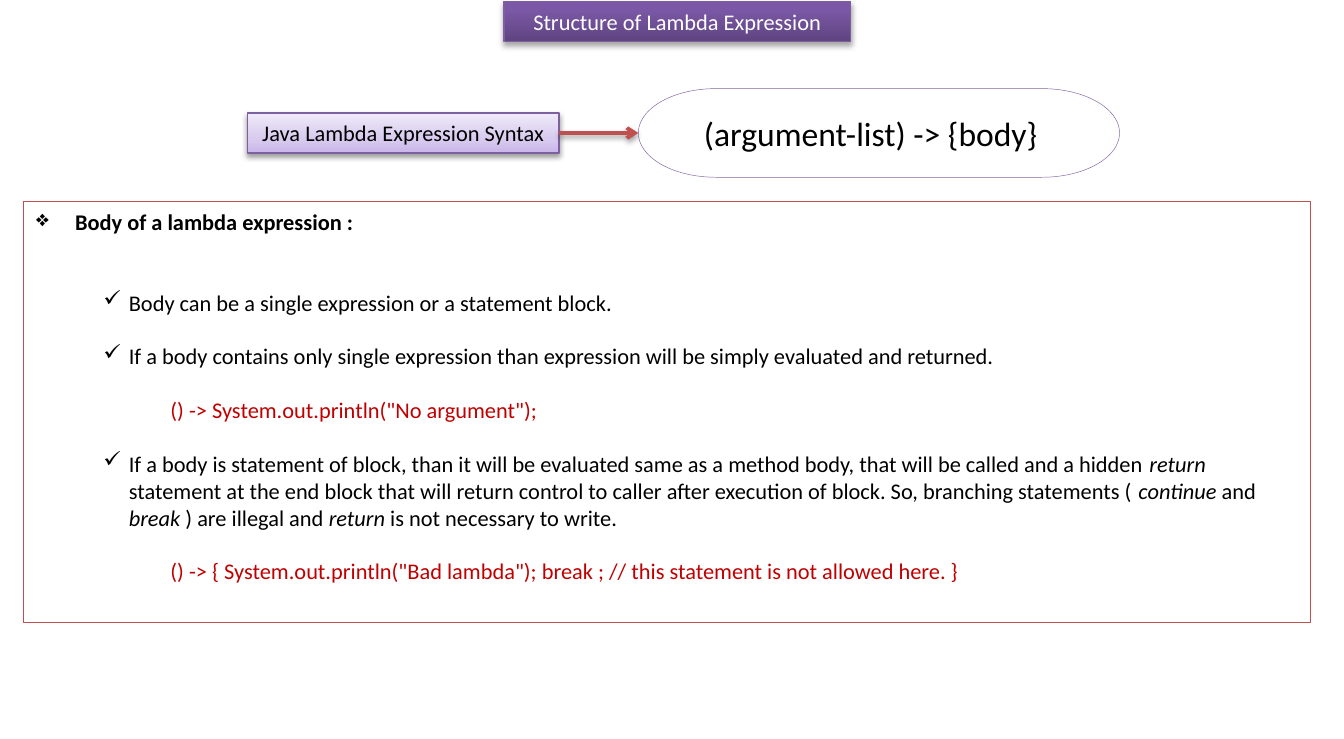
from dataclasses import dataclass

from lxml.etree import SubElement
from pptx import Presentation
from pptx.dml.color import RGBColor
from pptx.enum.shapes import MSO_CONNECTOR as Connector, MSO_SHAPE as Shape
from pptx.enum.text import MSO_ANCHOR as Anchor, PP_ALIGN as Align
from pptx.oxml.ns import qn
from pptx.util import Inches, Pt


@dataclass(frozen=True)
class Theme:
    font: str = "Calibri"
    body_size: int = 12
    syntax_size: int = 18
    black: str = "000000"
    white: str = "FFFFFF"
    purple: str = "7D60A0"
    pill_line: str = "8064A2"
    red: str = "C0504D"
    code: str = "C00000"
    dark_gradient: tuple = ((0, "5F4480"), (80, "7B58A6"), (100, "7C57A8"))
    light_gradient: tuple = ((0, "C9B5E8"), (35, "D8CBEE"), (100, "F0EAF9"))


THEME = Theme()
LINE_GAP = 14.4

# Each entry: kind, text; asterisks enclose italics.
BODY = [
    ("heading", "Body of a lambda expression :"),
    ("point", "Body can be a single expression or a statement block."),
    ("point", "If a body contains only single expression than expression "
              "will be simply evaluated and returned."),
    ("code", '() -> System.out.println("No argument");'),
    ("point", "If a body is statement of block, than it will be evaluated same as a "
              "method body, that will be called and a hidden *return* statement at the "
              "end block that will return control to caller after execution of block. "
              "So, branching statements ( *continue* and *break* ) are illegal and "
              "*return* is not necessary to write."),
    ("code", '() -> { System.out.println("Bad lambda"); break ; '
             "// this statement is not allowed here. }"),
]
# Each kind: left margin, first-line indent, bullet, space before, colour, bold.
STYLES = {
    "heading": (0.29, -0.29, "❖", 0, THEME.black, True),
    "point": (0.69, -0.19, "✓", LINE_GAP, THEME.black, False),
    "code": (1, 0, None, LINE_GAP, THEME.code, False),
}


def rgb(value):
    return RGBColor.from_string(value)


def style_font(font, color, size=THEME.body_size, bold=False):
    font.name, font.size, font.bold = THEME.font, Pt(size), bold
    font.color.rgb = rgb(color)


def add_shadow(properties, opacity, distance):
    """Give the shape properties a soft shadow that falls straight down."""
    effects = properties.find(qn("a:effectLst"))
    if effects is None:
        effects = SubElement(properties, qn("a:effectLst"))
    shadow = SubElement(effects, qn("a:outerShdw"), blurRad=str(Pt(3.1)),
                        dist=str(Pt(distance)), dir="5400000", rotWithShape="0")
    color = SubElement(shadow, qn("a:srgbClr"), val=THEME.black)
    SubElement(color, qn("a:alpha"), val=str(opacity * 1000))


def fill_gradient(shape, stops):
    """Fill from bottom to top with (percent, colour) stops."""
    shape.fill.gradient()
    shape.fill.gradient_angle = 90
    stop_list = shape._element.spPr.find(qn("a:gradFill")).find(qn("a:gsLst"))
    for old in list(stop_list):
        stop_list.remove(old)
    for percent, color in stops:
        stop = SubElement(stop_list, qn("a:gs"), pos=str(percent * 1000))
        SubElement(stop, qn("a:srgbClr"), val=color)


def add_outlined(page, kind, box, line, width):
    shape = page.shapes.add_shape(kind, *map(Inches, box))
    shape.shadow.inherit = False
    shape.fill.solid()
    shape.fill.fore_color.rgb = rgb(THEME.white)
    shape.line.color.rgb = rgb(line)
    shape.line.width = Pt(width)
    return shape


def set_label(shape, text, color, size=THEME.body_size):
    frame = shape.text_frame
    frame.text = text
    frame.vertical_anchor = Anchor.MIDDLE
    para = frame.paragraphs[0]
    para.alignment = Align.CENTER
    style_font(para.runs[0].font, color, size)


def add_plaque(page, box, text, color, gradient, opacity, distance):
    plaque = add_outlined(page, Shape.RECTANGLE, box, THEME.purple, 0.75)
    fill_gradient(plaque, gradient)
    add_shadow(plaque._element.spPr, opacity, distance)
    set_label(plaque, text, color)
    return plaque


def add_syntax(page, box):
    """Syntax label, joined by an arrow to the pill with the expression form."""
    left, top, width, height = box
    label_height = 0.3
    label_top = top + (height - label_height) / 2
    pill = add_outlined(page, Shape.FLOWCHART_TERMINATOR,
                        (left + width - 3.58, top, 3.58, height), THEME.pill_line, 0.25)
    set_label(pill, "(argument-list) -> {body}", THEME.black, THEME.syntax_size)
    pill.text_frame.margin_right = Inches(0.22)
    label = add_plaque(page, (left, label_top, 2.32, label_height),
                       "Java Lambda Expression Syntax", THEME.black,
                       THEME.light_gradient, 38, 1.6)
    label.text_frame.word_wrap = False

    arrow = page.shapes.add_connector(Connector.STRAIGHT, 0, 0, 0, 0)
    arrow.begin_connect(label, 3)
    arrow.end_connect(pill, 1)
    arrow.line.color.rgb = rgb(THEME.red)
    arrow.line.width = Pt(2)
    properties = arrow._element.spPr
    SubElement(properties.find(qn("a:ln")), qn("a:tailEnd"), type="arrow")
    add_shadow(properties, 38, 1.6)


def add_body(page, box):
    panel = add_outlined(page, Shape.RECTANGLE, box, THEME.red, 0.25)
    frame = panel.text_frame
    frame.word_wrap = True
    frame.vertical_anchor = Anchor.TOP
    previous = None
    for kind, text in BODY:
        margin, indent, bullet, gap, color, bold = STYLES[kind]
        para = frame.add_paragraph() if previous else frame.paragraphs[0]
        para.alignment = Align.LEFT
        para.space_before = Pt(2 * gap if previous == "heading" else gap)
        properties = para._p.get_or_add_pPr()
        properties.set("marL", str(Inches(margin)))
        properties.set("indent", str(Inches(indent)))
        if bullet:
            SubElement(properties, qn("a:buChar"), char=bullet)
        for index, part in enumerate(text.split("*")):
            span = para.add_run()
            span.text = part
            style_font(span.font, color, bold=bold)
            span.font.italic = index % 2 == 1
        previous = kind


def main():
    deck = Presentation()
    deck.slide_width, deck.slide_height = Inches(10), Inches(5.5)
    page = deck.slides.add_slide(deck.slide_layouts[6])
    add_plaque(page, (3.75, 0.01, 2.58, 0.3), "Structure of Lambda Expression",
               THEME.white, THEME.dark_gradient, 35, 1.8)
    add_syntax(page, (1.84, 0.66, 6.49, 0.66))
    add_body(page, (0.17, 1.5, 9.58, 3.13))
    deck.save("out.pptx")


if __name__ == "__main__":
    main()
